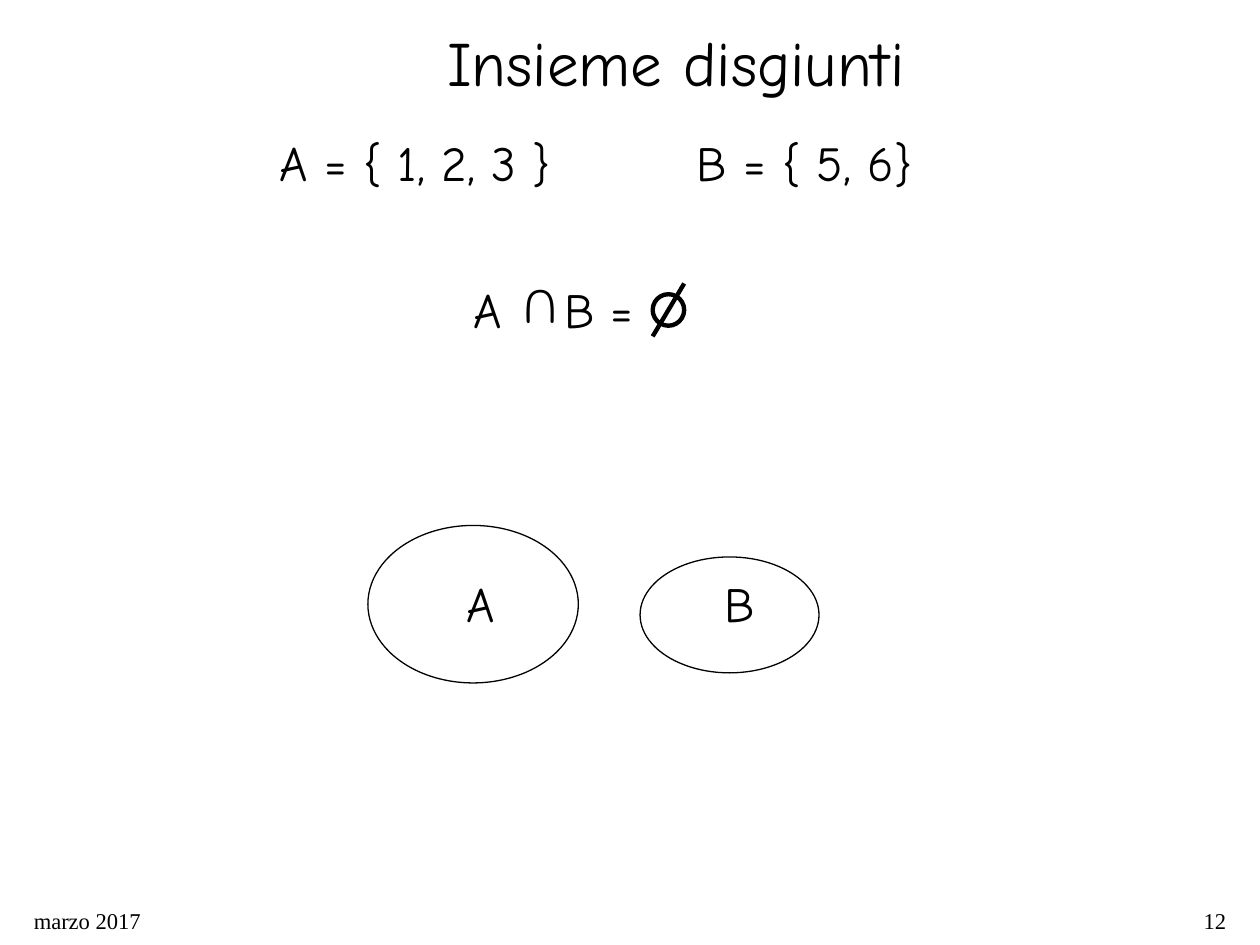
from lxml.etree import SubElement
from pptx import Presentation
from pptx.dml.color import RGBColor
from pptx.enum.shapes import MSO_CONNECTOR, MSO_SHAPE
from pptx.enum.text import MSO_ANCHOR, MSO_AUTO_SIZE, PP_ALIGN
from pptx.oxml.ns import qn
from pptx.util import Inches, Pt

COLORS = {"ink": "000000", "paper": "FFFFFF"}
MATH_FONT = "Comic Neue"
FOOTER_FONT = "Times New Roman"


def color(name):
    return RGBColor.from_string(COLORS[name])


def write(frame, text, size=28, font=MATH_FONT, align=PP_ALIGN.LEFT, wrap=True, tab=None):
    frame.word_wrap = wrap
    frame.auto_size = MSO_AUTO_SIZE.NONE
    frame.vertical_anchor = MSO_ANCHOR.TOP
    line = frame.paragraphs[0]
    line.alignment = align
    if tab:
        stops = SubElement(line._p.get_or_add_pPr(), qn("a:tabLst"))
        SubElement(stops, qn("a:tab"), pos=str(Inches(tab)), algn="l")
    run = line.add_run()
    run.text = text
    run.font.size = Pt(size)
    run.font.name = font
    run.font.color.rgb = color("ink")
    return line


def add_label(slide, box, text, **style):
    label = slide.shapes.add_textbox(*map(Inches, box))
    write(label.text_frame, text, **style)
    return label


def add_oval(slide, box, weight):
    oval = slide.shapes.add_shape(MSO_SHAPE.OVAL, *map(Inches, box))
    oval.shadow.inherit = False
    oval.fill.background()
    oval.line.color.rgb = color("ink")
    oval.line.width = Pt(weight)


def add_title(slide, box):
    title = slide.shapes.title
    title.left, title.top, title.width, title.height = map(Inches, box)
    write(title.text_frame, "Insieme disgiunti", size=36, wrap=False)


def add_empty_set(slide, box):
    left, top, width, height = box
    add_oval(slide, (left, top + (height - width) / 2, width, width), 2.5)
    slash = slide.shapes.add_connector(
        MSO_CONNECTOR.STRAIGHT,
        Inches(left + width), Inches(top), Inches(left), Inches(top + height),
    )
    slash.line.color.rgb = color("ink")
    slash.line.width = Pt(2.5)
    SubElement(slash._element.spPr, qn("a:effectLst"))


def add_intersection(slide, box):
    left, top, width, height = box
    add_label(slide, box, "A\tB =", tab=0.72)
    cap = add_label(slide, (left + 0.36, top, 0.5, height), "U")
    cap.rotation = 180
    add_empty_set(slide, (left + 1.52, top + 0.08, 0.25, 0.42))


def add_set(slide, box, name, label_box):
    add_oval(slide, box, 0.75)
    add_label(slide, label_box, name, wrap=False)


def add_footer(slide, box):
    left, top, width, height = box
    half = 2.08
    entries = [
        (left, "marzo 2017", PP_ALIGN.LEFT),
        (left + width - half, "12", PP_ALIGN.RIGHT),
    ]
    for x, text, align in entries:
        label = add_label(slide, (x, top, half, height), text,
                          size=12.9, font=FOOTER_FONT, align=align)
        label.text_frame.paragraphs[0].line_spacing = 0.9


def main():
    deck = Presentation()
    deck.slide_width, deck.slide_height = Inches(10), Inches(7.5)
    slide = deck.slides.add_slide(deck.slide_layouts[5])
    slide.background.fill.solid()
    slide.background.fill.fore_color.rgb = color("paper")

    add_footer(slide, (0.17, 7.17, 9.66, 0.33))
    add_title(slide, (3.45, 0.14, 3.83, 0.7))
    add_label(slide, (2.12, 1, 5.36, 0.57), "A = { 1, 2, 3 }\tB = { 5, 6}", tab=3.31)
    add_intersection(slide, (3.66, 2.17, 1.88, 0.57))
    add_set(slide, (2.92, 4.17, 1.67, 1.25), "A", (3.6, 4.5, 0.42, 0.57))
    add_set(slide, (5.08, 4.42, 1.42, 0.92), "B", (5.65, 4.5, 0.44, 0.57))

    deck.save("out.pptx")


if __name__ == "__main__":
    main()
